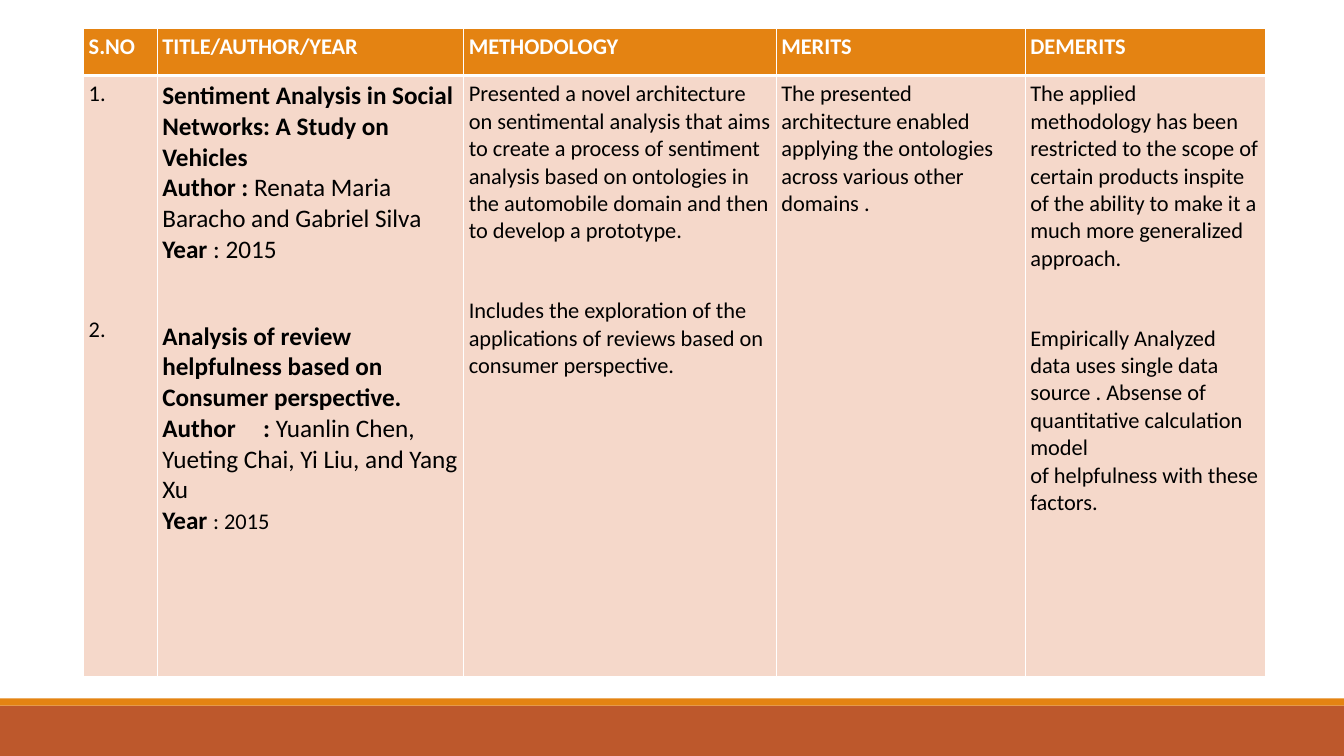
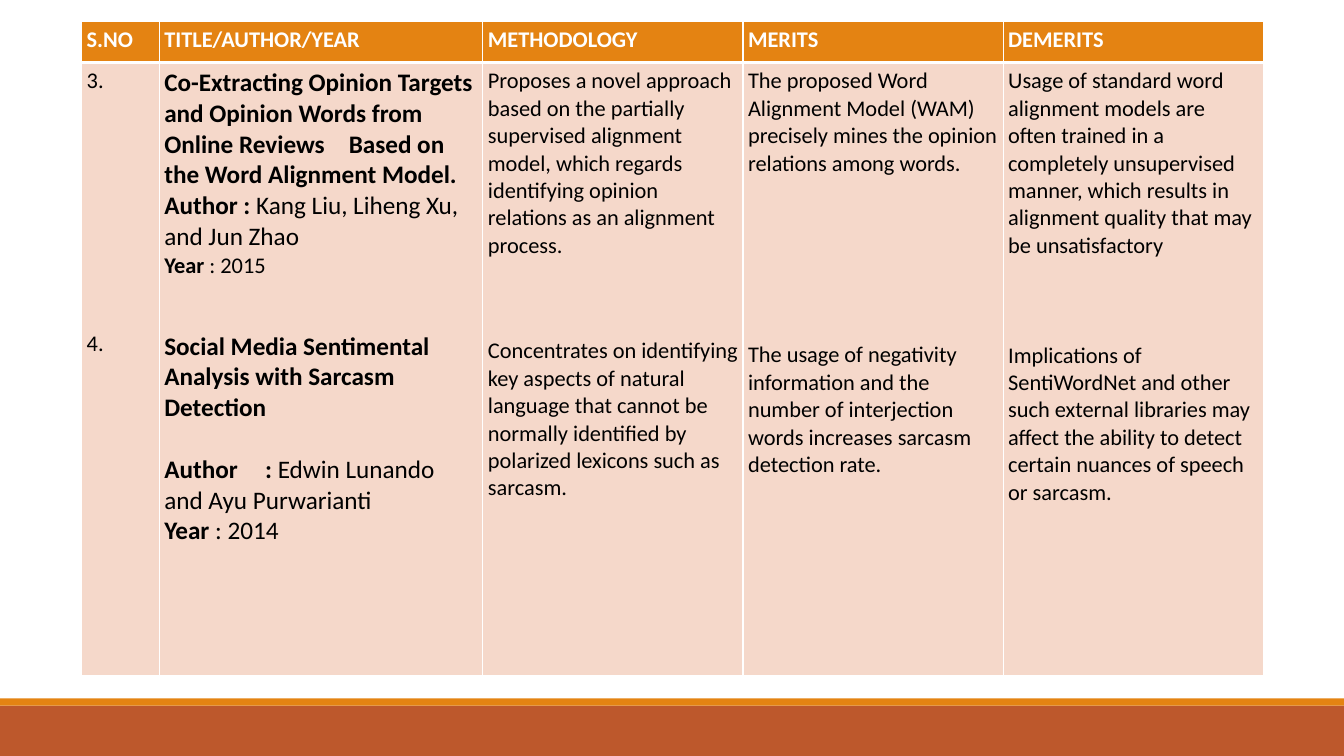
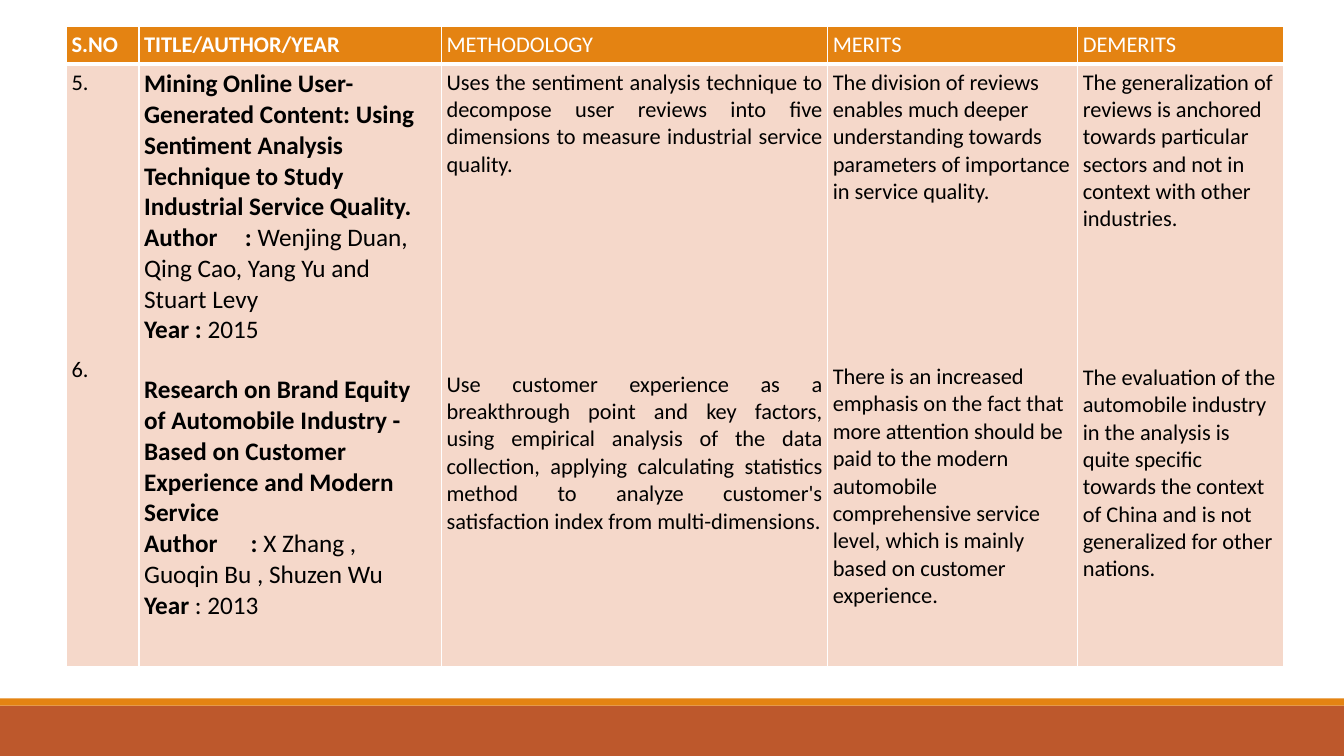
import pptx
import pptx.dml.color
import pptx.enum.shapes
import pptx.enum.text
import pptx.util
from lxml import etree
from pptx.util import Inches


class Theme:
    font = "Calibri"
    orange = pptx.dml.color.RGBColor.from_string("E48312")
    rust = pptx.dml.color.RGBColor.from_string("BD582C")
    peach = pptx.dml.color.RGBColor.from_string("F5D8CA")
    white = pptx.dml.color.RGBColor.from_string("FFFFFF")
    black = pptx.dml.color.RGBColor.from_string("000000")
    # Text styles: size in points, bold
    text = (16, False)
    strong = (16, True)
    large = (18, False)
    heading = (18, True)
    cell_margin = 0.05
    thin_border = 1
    header_border = 3
    tab_stops = (1.0, 1.83)


HEADERS = ["S.NO", "TITLE/AUTHOR/YEAR", "METHODOLOGY", "MERITS", "DEMERITS"]

# Each cell lists its paragraphs: space before in points, then runs of (text, style)
SURVEYS = [
    {
        "origin": (0.83, 0.28),
        "columns": [0.73, 3.04, 3.1, 2.47, 2.38],
        "rows": [0.47, 5.96],
        "bold_headers": 5,
        "justified": [],
        "cells": [
            [(0, ("1.", Theme.text)), (148.5, ("2.", Theme.text))],
            [
                (0, ("Sentiment Analysis in Social Networks: A Study on Vehicles", Theme.heading)),
                (0, ("Author : ", Theme.heading),
                 ("Renata Maria Baracho and Gabriel Silva", Theme.large)),
                (0, ("Year", Theme.heading), (" : 2015", Theme.large)),
                (40, ("Analysis of review helpfulness based on Consumer perspective.",
                      Theme.heading)),
                (0, ("Author\t: ", Theme.heading),
                 ("Yuanlin Chen, Yueting Chai, Yi Liu, and Yang Xu", Theme.large)),
                (0, ("Year ", Theme.heading), (": 2015", Theme.text)),
            ],
            [
                (0, ("Presented a novel architecture on sentimental analysis that aims to "
                     "create a process of sentiment analysis based on ontologies in the "
                     "automobile domain and then to develop a prototype.", Theme.text)),
                (37.5, ("Includes the exploration of the applications of reviews based on "
                        "consumer perspective.", Theme.text)),
            ],
            [
                (0, ("The presented architecture enabled applying the ontologies across "
                     "various other domains .", Theme.text)),
            ],
            [
                (0, ("The applied methodology has been restricted to the scope of certain "
                     "products inspite of the ability to make it a much more generalized "
                     "approach.", Theme.text)),
                (37.5, ("Empirically Analyzed data uses single data source . Absense of "
                        "quantitative calculation model", Theme.text)),
                (0, ("of helpfulness with these factors.", Theme.text)),
            ],
        ],
    },
    {
        "origin": (0.81, 0.21),
        "columns": [0.77, 3.21, 2.58, 2.58, 2.58],
        "rows": [0.41, 6.08],
        "bold_headers": 5,
        "justified": [],
        "cells": [
            [(0, ("3.", Theme.text)), (168, ("4.", Theme.text))],
            [
                (0, ("Co-Extracting Opinion Targets and Opinion Words from Online "
                     "Reviews\tBased on the Word Alignment Model.", Theme.heading)),
                (0, ("Author : ", Theme.heading),
                 ("Kang Liu, Liheng Xu, and Jun Zhao", Theme.large)),
                (0, ("Year", Theme.strong), (" : 2015", Theme.text)),
                (37, ("Social Media Sentimental Analysis with Sarcasm Detection",
                      Theme.heading)),
                (22, ("Author\t: ", Theme.heading),
                 ("Edwin Lunando and Ayu Purwarianti", Theme.large)),
                (0, ("Year", Theme.heading), (" : 2014", Theme.large)),
            ],
            [
                (0, ("Proposes a novel approach based on the partially supervised alignment "
                     "model, which regards identifying opinion relations as an alignment "
                     "process.", Theme.text)),
                (56, ("Concentrates on identifying key aspects of natural language that "
                      "cannot be normally identified by polarized lexicons such as sarcasm.",
                      Theme.text)),
            ],
            [
                (0, ("The proposed Word Alignment Model (WAM) precisely mines the opinion "
                     "relations among words.", Theme.text)),
                (117.5, ("The usage of negativity information and the number of interjection "
                         "words increases sarcasm detection rate.", Theme.text)),
            ],
            [
                (0, ("Usage of standard word alignment models are often trained in a "
                     "completely unsupervised manner, which results in alignment quality "
                     "that may be unsatisfactory", Theme.text)),
                (59, ("Implications of SentiWordNet and other such external libraries may "
                      "affect the ability to detect certain nuances of speech or sarcasm.",
                      Theme.text)),
            ],
        ],
    },
    {
        "origin": (0.66, 0.26),
        "columns": [0.72, 3, 3.83, 2.48, 2.04],
        "rows": [0.37, 5.98],
        "bold_headers": 2,
        "justified": [2],
        "cells": [
            [(0, ("5.", Theme.text)), (186, ("6.", Theme.text))],
            [
                (0, ("Mining Online User-Generated Content: Using Sentiment Analysis "
                     "Technique to Study Industrial Service Quality.", Theme.heading)),
                (0, ("Author\t: ", Theme.heading),
                 ("Wenjing Duan, Qing Cao, Yang Yu and Stuart Levy", Theme.large)),
                (0, ("Year : ", Theme.heading), ("2015", Theme.large)),
                (21, ("Research on Brand Equity of Automobile Industry - Based on Customer "
                      "Experience and Modern Service", Theme.heading)),
                (0, ("Author\t :", Theme.heading),
                 (" X Zhang , Guoqin Bu , Shuzen Wu", Theme.large)),
                (0, ("Year", Theme.heading), (" : 2013", Theme.large)),
            ],
            [
                (0, ("Uses the sentiment analysis technique to decompose user reviews into "
                     "five dimensions to measure industrial service quality.", Theme.text)),
                (137.5, ("Use customer experience as a breakthrough point and key factors, "
                         "using empirical analysis of the data collection, applying "
                         "calculating statistics method to analyze customer's satisfaction "
                         "index from multi-dimensions.", Theme.text)),
            ],
            [
                (0, ("The division of reviews enables much deeper understanding towards "
                     "parameters of importance in service quality.", Theme.text)),
                (112.5, ("There is an increased emphasis on the fact that more attention "
                         "should be paid to the modern automobile comprehensive service "
                         "level, which is mainly based on customer experience.", Theme.text)),
            ],
            [
                (0, ("The generalization of reviews is anchored towards particular sectors "
                     "and not in context with other industries.", Theme.text)),
                (93.5, ("The evaluation of the automobile industry in the analysis is quite "
                        "specific towards the context of China and is not generalized for "
                        "other nations.", Theme.text)),
            ],
        ],
    },
]


def format_cell(cell, fill, top, bottom):
    """Set the margins, white borders and fill of a table cell."""
    cell.margin_left = cell.margin_right = Inches(Theme.cell_margin)
    cell.margin_top = cell.margin_bottom = Inches(Theme.cell_margin)
    properties = cell._tc.get_or_add_tcPr()
    sides = {"lnL": Theme.thin_border, "lnR": Theme.thin_border, "lnT": top, "lnB": bottom}
    for side, width in sides.items():
        line = etree.SubElement(properties, pptx.oxml.ns.qn("a:" + side),
                                w=str(pptx.util.Pt(width)))
        line_fill = etree.SubElement(line, pptx.oxml.ns.qn("a:solidFill"))
        etree.SubElement(line_fill, pptx.oxml.ns.qn("a:srgbClr"), val=str(Theme.white))
    cell.fill.solid()
    cell.fill.fore_color.rgb = fill


def write_cell(cell, paragraphs, color, justified=False):
    """Write the paragraphs of a table cell run by run."""
    for index, (gap, *runs) in enumerate(paragraphs):
        frame = cell.text_frame
        paragraph = frame.add_paragraph() if index else frame.paragraphs[0]
        if any("\t" in text for text, style in runs):
            tab_list = etree.SubElement(paragraph._p.get_or_add_pPr(),
                                        pptx.oxml.ns.qn("a:tabLst"))
            for stop in Theme.tab_stops:
                etree.SubElement(tab_list, pptx.oxml.ns.qn("a:tab"),
                                 pos=str(Inches(stop)), algn="l")
        if gap:
            paragraph.space_before = pptx.util.Pt(gap)
        if justified:
            paragraph.alignment = pptx.enum.text.PP_ALIGN.JUSTIFY
        for text, (size, bold) in runs:
            run = paragraph.add_run()
            run.text = text
            run.font.name = Theme.font
            run.font.size = pptx.util.Pt(size)
            run.font.bold = bold
            run.font.color.rgb = color


presentation = pptx.Presentation()
presentation.slide_width = Inches(13.33)
presentation.slide_height = Inches(7.5)
blank_layout = presentation.slide_layouts[6]
slides = [presentation.slides.add_slide(blank_layout) for survey in SURVEYS]

# Footer bands, moved to the slide master so that every slide shows them
master_shapes = presentation.slide_master.shapes
bands = [(7, 0.5, Theme.rust), (6.93, 0.07, Theme.orange)]
for number, (top, height, color) in enumerate(bands, start=20):
    band = slides[0].shapes.add_shape(
        pptx.enum.shapes.MSO_SHAPE.RECTANGLE,
        0, Inches(top), presentation.slide_width, Inches(height))
    band.shadow.inherit = False
    band.fill.solid()
    band.fill.fore_color.rgb = color
    band.line.fill.background()
    band.element.xpath("./p:nvSpPr/p:cNvPr")[0].set("id", str(number))
    master_shapes.element.append(band.element)

# One literature table per slide
for slide, survey in zip(slides, SURVEYS):
    left, top = survey["origin"]
    table = slide.shapes.add_table(
        2, len(HEADERS), Inches(left), Inches(top),
        Inches(sum(survey["columns"])), Inches(sum(survey["rows"]))).table
    table.horz_banding = False
    for row, height in zip(table.rows, survey["rows"]):
        row.height = Inches(height)

    for index, width in enumerate(survey["columns"]):
        table.columns[index].width = Inches(width)

        # Header cell
        header = table.cell(0, index)
        format_cell(header, Theme.orange, Theme.thin_border, Theme.header_border)
        style = Theme.strong if index < survey["bold_headers"] else Theme.text
        write_cell(header, [(0, (HEADERS[index], style))], Theme.white)

        # Body cell
        body = table.cell(1, index)
        format_cell(body, Theme.peach, Theme.header_border, Theme.thin_border)
        write_cell(body, survey["cells"][index], Theme.black, index in survey["justified"])

presentation.save("out.pptx")
